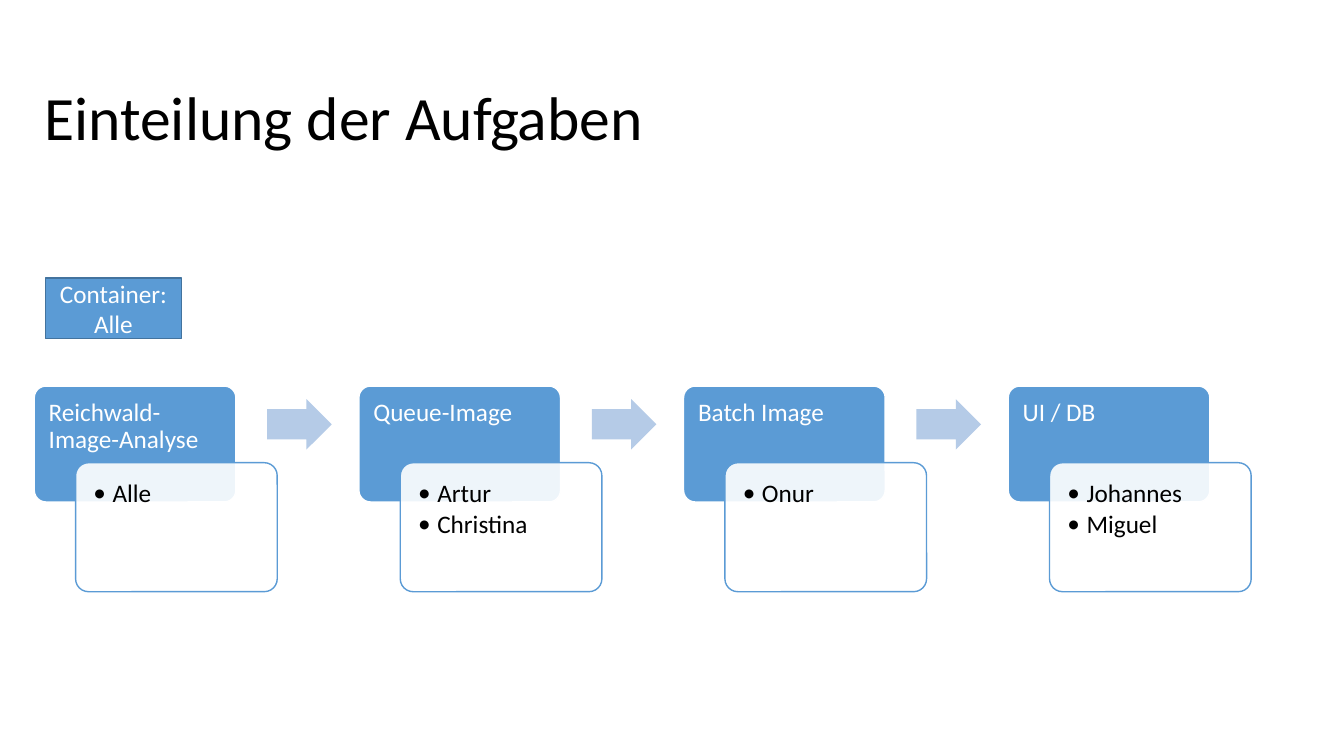
from pptx import Presentation
from pptx.dml.color import RGBColor
from pptx.enum.shapes import MSO_SHAPE as Shape
from pptx.enum.text import MSO_ANCHOR as Anchor, PP_ALIGN as Align
from pptx.oxml.ns import qn
from pptx.util import Inches, Pt
from lxml.etree import SubElement

FONT = "Calibri"
BLUE, PALE, EDGE = "5B9BD5", "B5CBE7", "43739E"
WHITE, BLACK = "FFFFFF", "000000"

STEPS = [
    ("Reichwald-Image-Analyse", ["Alle"]),
    ("Queue-Image", ["Artur", "Christina"]),
    ("Batch Image", ["Onur"]),
    ("UI / DB", ["Johannes", "Miguel"]),
]
LEFT, TOP, PITCH = 0.34, 3.83, 3.22


def color(code):
    return RGBColor.from_string(code)


def add_box(slide, kind, place, fill, line=None):
    box = slide.shapes.add_shape(kind, *map(Inches, place))
    box.shadow.inherit = False
    box.fill.solid()
    box.fill.fore_color.rgb = color(fill)
    if line:
        box.line.color.rgb = color(line)
        box.line.width = Pt(1)
    else:
        box.line.fill.background()
    return box


def set_text(box, lines, size, code, align=Align.LEFT, space=None, after=0):
    frame = box.text_frame
    frame.word_wrap = True
    frame.text = "\n".join(lines)
    for para in frame.paragraphs:
        para.alignment = align
        para.space_after = Pt(after)
        if space:
            para.line_spacing = space
        font = para.runs[0].font
        font.name, font.size = FONT, Pt(size)
        font.color.rgb = color(code)
    return frame


def set_inset(frame, side, top):
    frame.vertical_anchor = Anchor.TOP
    frame.margin_left = frame.margin_right = Inches(side)
    frame.margin_top = Inches(top)


def add_bullet(para):
    props = para._p.get_or_add_pPr()
    props.set("marL", str(Inches(0.19)))
    props.set("indent", str(-Inches(0.19)))
    SubElement(props, qn("a:buFont")).set("typeface", FONT)
    SubElement(props, qn("a:buChar")).set("char", "•")


def add_head(slide, left, text):
    box = add_box(slide, Shape.ROUNDED_RECTANGLE, (left, TOP, 2, 1.15), BLUE, WHITE)
    box.adjustments[0] = 0.1
    set_inset(set_text(box, [text], 18, WHITE, space=0.9), 0.11, 0.1)


def add_card(slide, left, names):
    place = (left + 0.41, TOP + 0.76, 2, 1.28)
    box = add_box(slide, Shape.ROUNDED_RECTANGLE, place, WHITE, BLUE)
    box.adjustments[0] = 0.1
    # The head shows faintly through the card
    tone = box._element.spPr.find(qn("a:solidFill"))[0]
    SubElement(tone, qn("a:alpha")).set("val", "90000")
    frame = set_text(box, names, 18, BLACK, space=0.9, after=2.7)
    set_inset(frame, 0.14, 0.14)
    for para in frame.paragraphs:
        add_bullet(para)


def add_arrow(slide, left):
    place = (left + 2.31, TOP + 0.13, 0.64, 0.5)
    arrow = add_box(slide, Shape.RIGHT_ARROW, place, PALE)
    arrow.adjustments[0] = 0.6


def add_title(slide, text):
    title = slide.shapes.title
    title.left, title.top = Inches(0.34), Inches(0.47)
    title.width, title.height = Inches(11.5), Inches(1.45)
    frame = set_text(title, [text], 44, BLACK, space=0.9)
    frame.vertical_anchor = Anchor.MIDDLE


def main():
    deck = Presentation()
    deck.slide_width, deck.slide_height = Inches(13.33), Inches(7.5)
    slide = deck.slides.add_slide(deck.slide_layouts[5])
    add_title(slide, "Einteilung der Aufgaben")

    # Process steps, with arrows between them
    for i, (text, names) in enumerate(STEPS):
        left = LEFT + i * PITCH
        add_head(slide, left, text)
        add_card(slide, left, names)
        if i < len(STEPS) - 1:
            add_arrow(slide, left)

    # Task shared by everyone
    shared = add_box(slide, Shape.RECTANGLE, (0.45, 2.76, 1.35, 0.6), BLUE, EDGE)
    frame = set_text(shared, ["Container: Alle"], 18, WHITE, Align.CENTER)
    frame.vertical_anchor = Anchor.MIDDLE

    deck.save("out.pptx")


if __name__ == "__main__":
    main()
